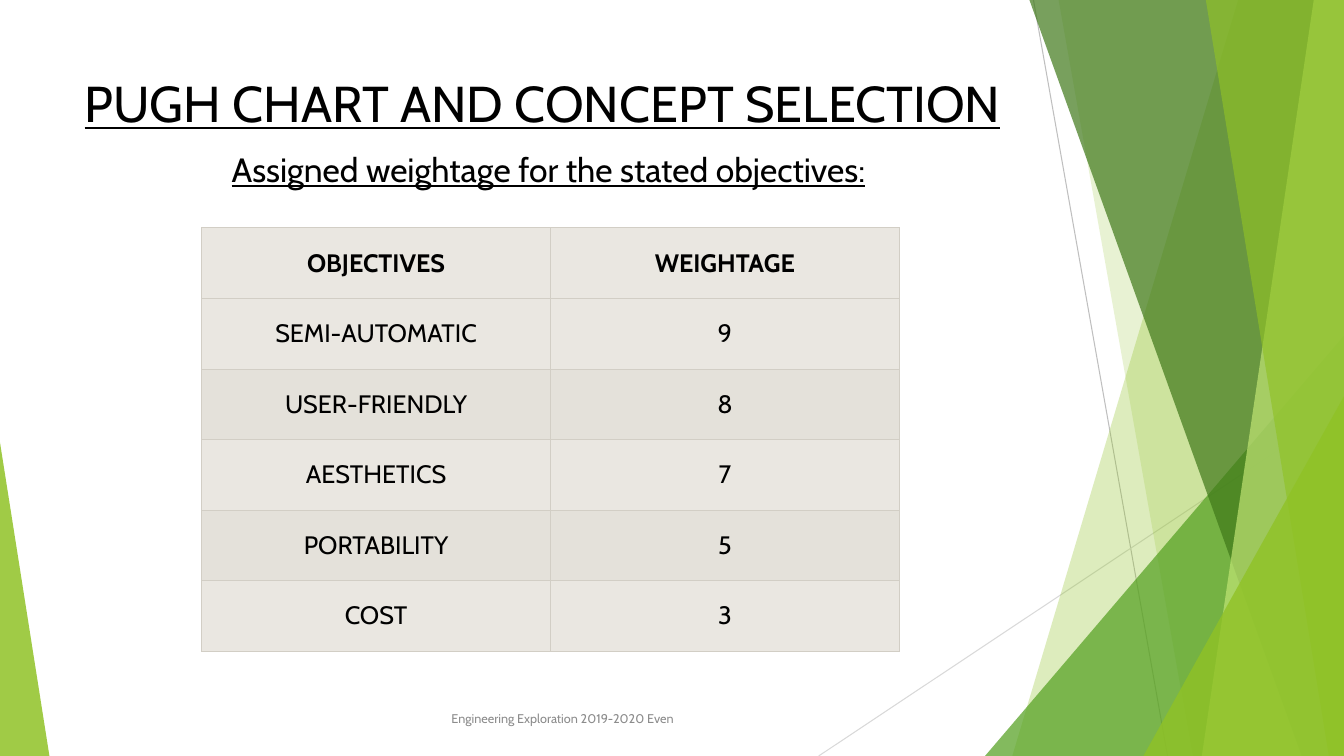
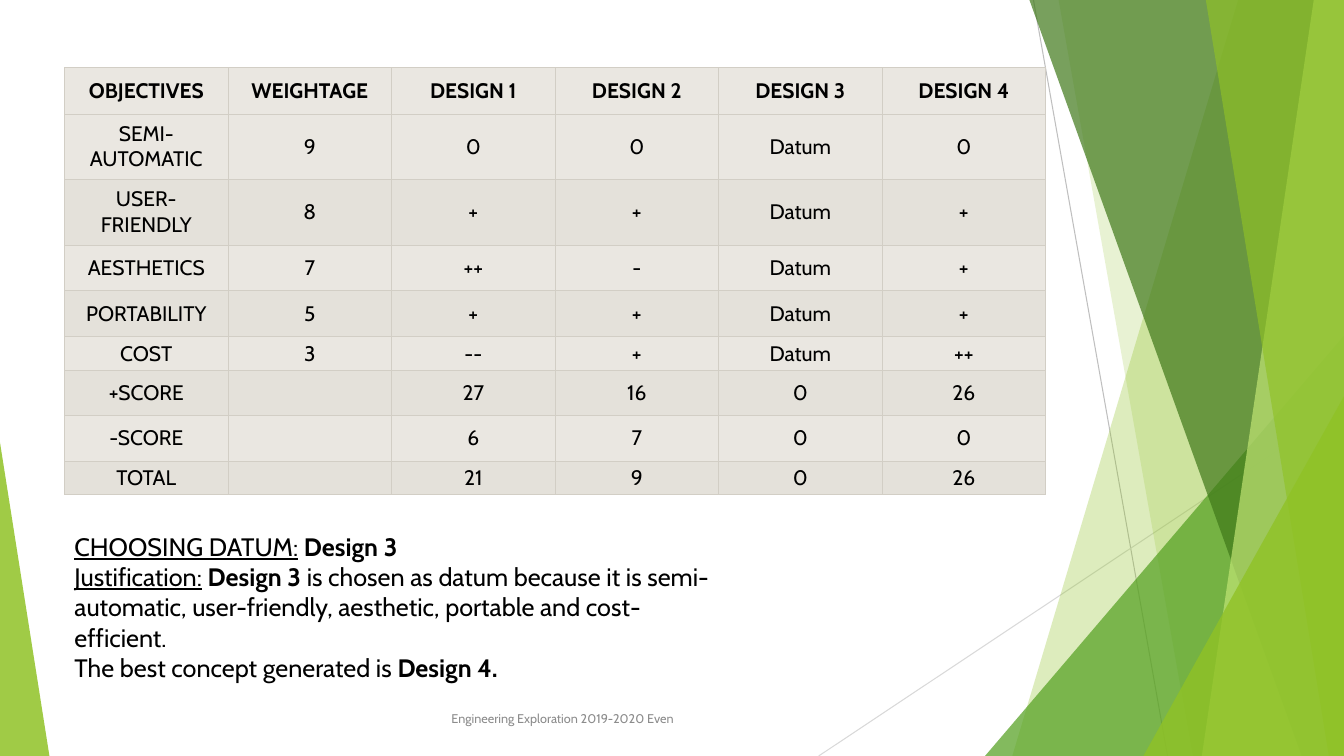
from lxml.etree import SubElement
from pptx import Presentation
from pptx.dml.color import RGBColor
from pptx.enum.shapes import MSO_CONNECTOR, MSO_SHAPE
from pptx.enum.text import MSO_ANCHOR, PP_ALIGN
from pptx.oxml import parse_xml
from pptx.oxml.ns import nsdecls, qn
from pptx.util import Inches, Pt

FONT = "Cabin"
BLACK, FOOTER_GREY = "000000", "8C8C8C"
LIME, PALE_LIME, GREEN, DARK_GREEN = "90C226", "C0E474", "54A021", "3F7819"
ROW_FILL, BAND_FILL, BORDER = "EAE7E1", "E4E1DA", "D2CEC5"
WIDTH, HEIGHT = 13.33, 7.5

# Thin lines: start, end, colour
RAYS = [
    ((10.25, 0), (11.58, HEIGHT), "BFBFBF"),
    ((WIDTH, 4.03), (8.12, HEIGHT), "D9D9D9"),
]
# Decoration from back to front.
# Band: top-left x, bottom-left x, colour, opacity; it runs to the right edge.
# Wedge: left, top, width, apex (0 left, 1 right), colour, opacity; it runs to the bottom.
DECORATION = [
    ("band", 12.28, 10.04, LIME, 30),
    ("band", 10.5, 11.83, LIME, 20),
    ("wedge", 9.77, 3.33, 3.56, 1, GREEN, 72),
    ("band", 10.21, 12.91, DARK_GREEN, 70),
    ("band", 13.03, 11.92, PALE_LIME, 70),
    ("band", 11.96, 13.18, LIME, 65),
    ("wedge", 11.34, 3.93, 1.99, 1, LIME, 80),
    ("wedge", 0, 4.39, 0.49, 0, LIME, 85),
]

FOOTER = "Engineering Exploration 2019-2020 Even"
TITLE = "PUGH CHART AND CONCEPT SELECTION"
SUBTITLE = "Assigned weightage for the stated objectives:"
WEIGHTS = [
    ("OBJECTIVES", "WEIGHTAGE"),
    ("SEMI-AUTOMATIC", "9"),
    ("USER-FRIENDLY", "8"),
    ("AESTHETICS", "7"),
    ("PORTABILITY", "5"),
    ("COST", "3"),
]
RATINGS = [
    ("DESIGN 1", "DESIGN 2", "DESIGN 3", "DESIGN 4"),
    ("0", "0", "Datum", "0"),
    ("+", "+", "Datum", "+"),
    ("++", "-", "Datum", "+"),
    ("+", "+", "Datum", "+"),
    ("--", "+", "Datum", "++"),
]
SCORES = [
    ("+SCORE", "", "27", "16", "0", "26"),
    ("-SCORE", "", "6", "7", "0", "0"),
    ("TOTAL", "", "21", "9", "0", "26"),
]
PUGH_CHART = [weight + rating for weight, rating in zip(WEIGHTS, RATINGS)] + SCORES
PUGH_ROW_HEIGHTS = [0.46, 0.65, 0.65, 0.45, 0.46, 0.26, 0.45, 0.45, 0.26]

# Paragraphs of (text, style) runs
CONCLUSION = [
    [("CHOOSING DATUM:", "underline"), (" ", None), ("Design 3", "bold")],
    [("Justification:", "underline"), (" ", None), ("Design 3", "bold"),
     (" is chosen as datum because it is semi-automatic, user-friendly, "
      "aesthetic, portable and cost-efficient.", None)],
    [("The best concept generated is ", None), ("Design 4.", "bold")],
]


def rgb(color):
    return RGBColor.from_string(color)


def set_font(font, size, color=BLACK, **styles):
    font.name, font.size, font.color.rgb = FONT, Pt(size), rgb(color)
    for style, value in styles.items():
        setattr(font, style, value)


def fill_translucent(shape, color, opacity):
    shape.shadow.inherit = False
    shape.line.fill.background()
    shape.fill.solid()
    shape.fill.fore_color.rgb = rgb(color)
    color_element = shape.element.spPr.find(".//" + qn("a:srgbClr"))
    SubElement(color_element, qn("a:alpha"), val=str(opacity * 1000))


def add_ray(shapes, start, end, color):
    ray = shapes.add_connector(MSO_CONNECTOR.STRAIGHT, *map(Inches, start + end))
    ray.line.color.rgb = rgb(color)
    ray.line.width = Pt(0.75)
    SubElement(ray.element.spPr, qn("a:effectLst"))
    return ray


def add_band(shapes, top_x, bottom_x, color, opacity):
    corners = [(top_x, 0), (WIDTH, 0), (WIDTH, HEIGHT), (bottom_x, HEIGHT)]
    points = [(Inches(x), Inches(y)) for x, y in corners]
    builder = shapes.build_freeform(*points[0])
    builder.add_line_segments(points[1:], close=True)
    band = builder.convert_to_shape()
    fill_translucent(band, color, opacity)
    return band


def add_wedge(shapes, left, top, width, apex, color, opacity):
    wedge = shapes.add_shape(MSO_SHAPE.ISOSCELES_TRIANGLE, Inches(left), Inches(top),
                             Inches(width), Inches(HEIGHT - top))
    wedge.adjustments[0] = apex
    fill_translucent(wedge, color, opacity)
    return wedge


def decorate_layout(layout, slide):
    """Draw the shared decoration on the slide, then move it to its layout."""
    for placeholder in list(layout.placeholders):
        layout.shapes.element.remove(placeholder.element)
    adders = {"band": add_band, "wedge": add_wedge}
    parts = [add_ray(slide.shapes, *ray) for ray in RAYS]
    parts += [adders[kind](slide.shapes, *values) for kind, *values in DECORATION]
    for part in parts:
        layout.shapes.element.append(part.element)


def add_text(slide, box, paragraphs, size, color=BLACK, align=PP_ALIGN.LEFT,
             anchor=MSO_ANCHOR.TOP, **styles):
    frame = slide.shapes.add_textbox(*map(Inches, box)).text_frame
    frame.word_wrap = True
    frame.vertical_anchor = anchor
    for index, runs in enumerate(paragraphs):
        paragraph = frame.add_paragraph() if index else frame.paragraphs[0]
        paragraph.alignment = align
        set_font(paragraph.font, size, color, **styles)
        for text, style in runs:
            run = paragraph.add_run()
            run.text = text
            if style:
                setattr(run.font, style, True)


def add_footer(slide):
    add_text(slide, (4.38, 6.91, 4.54, 0.44), [[(FOOTER, None)]], 9, FOOTER_GREY,
             anchor=MSO_ANCHOR.MIDDLE)


def add_borders(cell):
    properties = cell._tc.get_or_add_tcPr()
    for index, side in enumerate(("lnL", "lnR", "lnT", "lnB")):
        properties.insert(index, parse_xml(
            f'<a:{side} {nsdecls("a")} w="{Pt(0.6)}"><a:solidFill>'
            f'<a:srgbClr val="{BORDER}"/></a:solidFill></a:{side}>'))


def add_grid(slide, left, top, width, rows, row_heights, size, insets):
    """Add a table with equal columns, a bold first row and banded rows."""
    columns = len(rows[0])
    table = slide.shapes.add_table(len(rows), columns, Inches(left), Inches(top),
                                   Inches(width), Inches(sum(row_heights))).table
    for column in table.columns:
        column.width = Inches(width / columns)
    side_inset, end_inset = map(Inches, insets)
    for r, (texts, height) in enumerate(zip(rows, row_heights)):
        table.rows[r].height = Inches(height)
        for c, text in enumerate(texts):
            cell = table.cell(r, c)
            cell.text = text
            cell.vertical_anchor = MSO_ANCHOR.MIDDLE
            cell.margin_left = cell.margin_right = side_inset
            cell.margin_top = cell.margin_bottom = end_inset
            cell.fill.solid()
            cell.fill.fore_color.rgb = rgb(BAND_FILL if r and r % 2 == 0 else ROW_FILL)
            add_borders(cell)
            paragraph = cell.text_frame.paragraphs[0]
            paragraph.alignment = PP_ALIGN.CENTER
            set_font(paragraph.font, size, bold=r == 0)
            if not text:  # an empty cell takes its line height from the end mark
                SubElement(paragraph._p, qn("a:endParaRPr"), sz=str(size * 100))


def add_weights_slide(slide):
    add_text(slide, (0.74, 0.67, 9.4, 0.72), [[(TITLE, None)]], 36, underline=True)
    add_grid(slide, 2, 2.26, 6.92, WEIGHTS, [0.7] * len(WEIGHTS), 18, (0.11, 0.05))
    add_footer(slide)
    add_text(slide, (1.68, 1.43, 7.52, 0.5), [[(SUBTITLE, None)]], 24,
             align=PP_ALIGN.CENTER, underline=True)


def add_pugh_slide(slide):
    add_grid(slide, 0.64, 0.67, 9.73, PUGH_CHART, PUGH_ROW_HEIGHTS, 15, (0.09, 0.04))
    add_footer(slide)
    add_text(slide, (0.64, 5.22, 6.67, 1.62), CONCLUSION, 18)


def main():
    prs = Presentation()
    prs.slide_width, prs.slide_height = Inches(WIDTH), Inches(HEIGHT)
    blank = prs.slide_layouts[6]
    weights_slide, pugh_slide = (prs.slides.add_slide(blank) for _ in range(2))
    decorate_layout(blank, weights_slide)
    add_weights_slide(weights_slide)
    add_pugh_slide(pugh_slide)
    prs.save("out.pptx")


if __name__ == "__main__":
    main()
